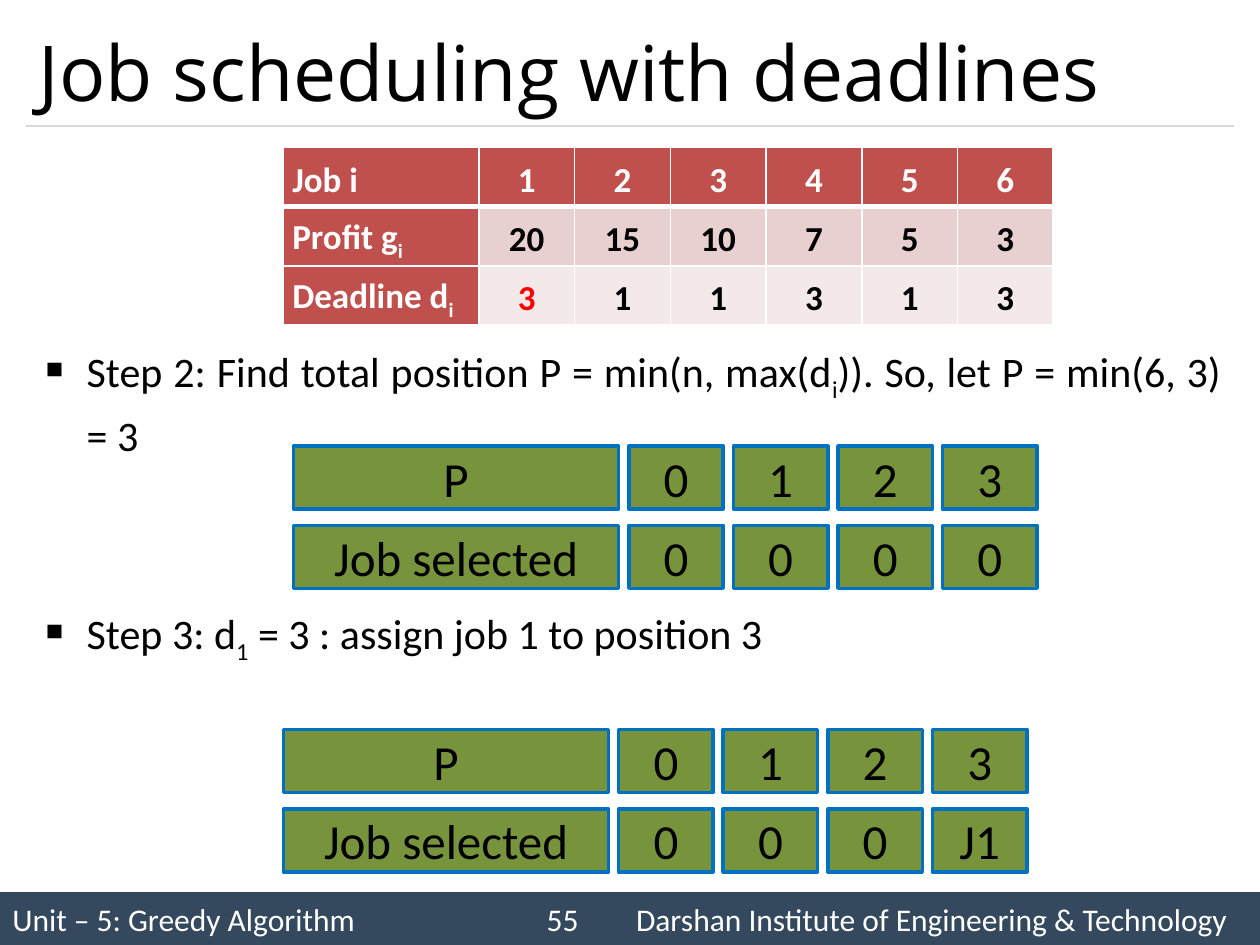
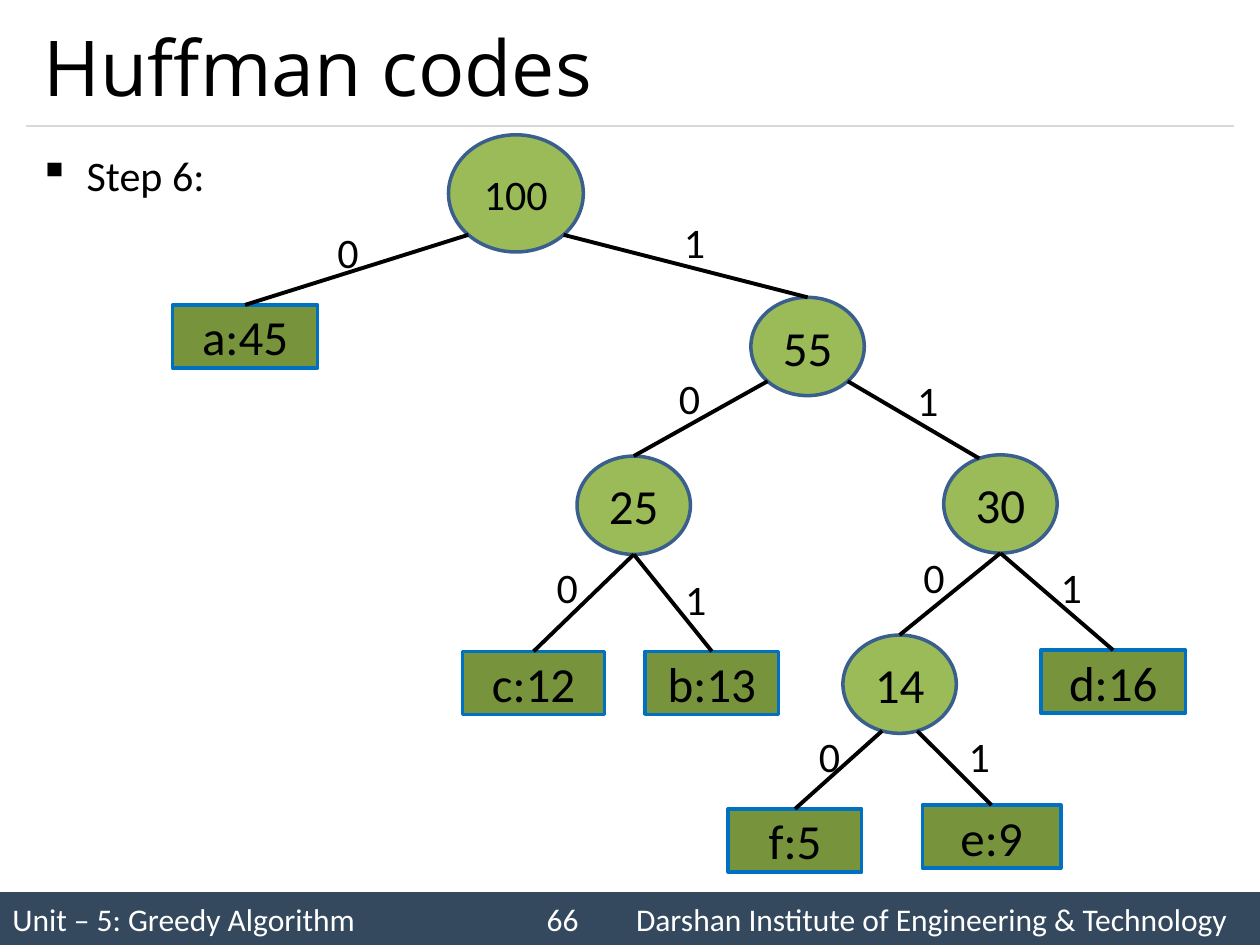
from math import cos, radians, sin

from lxml import etree
from pptx import Presentation
from pptx.dml.color import RGBColor
from pptx.enum.shapes import MSO_CONNECTOR, MSO_SHAPE
from pptx.enum.text import MSO_ANCHOR, PP_ALIGN
from pptx.oxml.ns import qn
from pptx.util import Inches, Pt

# Shared style
BLACK = RGBColor(0x00, 0x00, 0x00)
WHITE = RGBColor(0xFF, 0xFF, 0xFF)
RED = RGBColor(0xFF, 0x00, 0x00)
FOOTER_BLUE = RGBColor(0x34, 0x49, 0x5E)
RULE_GREY = RGBColor(0xD9, 0xD9, 0xD9)
BOX_GREEN = RGBColor(0x77, 0x93, 0x3C)
BOX_LINE = RGBColor(0x00, 0x70, 0xC0)
NODE_GREEN = RGBColor(0x9B, 0xBB, 0x59)
NODE_LINE = RGBColor(0x3A, 0x5F, 0x8C)
HEADER_RED = RGBColor(0xC0, 0x50, 0x4D)
ROW_FILLS = [HEADER_RED, RGBColor(0xE8, 0xD0, 0xD0), RGBColor(0xF4, 0xE9, 0xE9)]

BODY_FONT = "Calibri"
TITLE_FONT = "Open Sans"
RECT, OVAL = MSO_SHAPE.RECTANGLE, MSO_SHAPE.OVAL
STRAIGHT = MSO_CONNECTOR.STRAIGHT
LEFT, CENTER, JUSTIFY = PP_ALIGN.LEFT, PP_ALIGN.CENTER, PP_ALIGN.JUSTIFY
MIDDLE = MSO_ANCHOR.MIDDLE

UNIT = "Unit – 5: Greedy Algorithm"
INSTITUTE = "Darshan Institute of Engineering & Technology"
FOOTER_TABS = (4.24, 4.95)

# Job scheduling content
JOB_ROWS = [
    ["Job i", "1", "2", "3", "4", "5", "6"],
    ["Profit g|i|", "20", "15", "10", "7", "5", "3"],
    ["Deadline d|i|", "3", "1", "1", "3", "1", "3"],
]
POSITIONS = ["P", "0", "1", "2", "3"]

# Huffman tree: name -> left, top, width, height
INNER_NODES = {
    "100": (3.56, 1.07, 1.07, 0.93),
    "55": (5.96, 2.36, 0.9, 0.78),
    "25": (4.58, 3.62, 0.9, 0.78),
    "30": (7.49, 3.61, 0.9, 0.78),
    "14": (6.69, 5.04, 0.9, 0.78),
}
LEAVES = {
    "a:45": (1.37, 2.42, 1.15, 0.5),
    "c:12": (3.67, 5.17, 1.13, 0.5),
    "b:13": (5.12, 5.17, 1.06, 0.5),
    "d:16": (8.26, 5.16, 1.15, 0.5),
    "f:5": (5.78, 6.42, 1.06, 0.5),
    "e:9": (7.32, 6.39, 1.1, 0.5),
}
# Degrees from straight down at which branches leave a node
BRANCH_ANGLE = {"100": 45, "55": 45, "25": 0, "30": 0, "14": 18}
# Degrees from straight up at which a branch enters, where not 0
ENTRY_ANGLE = {"30": -22}
# Parent -> (child, left and top of its bit label) for bits 0 and 1
BRANCHES = {
    "100": [("a:45", 2.58, 1.75), ("55", 5.33, 1.67)],
    "55": [("25", 5.29, 2.91), ("30", 7.18, 2.92)],
    "25": [("c:12", 4.32, 4.41), ("b:13", 5.34, 4.5)],
    "30": [("14", 7.23, 4.33), ("d:16", 8.32, 4.41)],
    "14": [("f:5", 6.4, 5.75), ("e:9", 7.59, 5.75)],
}


def inches(values):
    return [Inches(v) for v in values]


def write(p, text, size, color=BLACK, align=LEFT, font=BODY_FONT, bold=False):
    """Fill a paragraph; text between bars is subscript."""
    for i, part in enumerate(text.split("|")):
        if part:
            r = p.add_run()
            r.text = part
            if i % 2:
                r._r.get_or_add_rPr().set("baseline", "-25000")
    p.alignment = align
    p.font.name, p.font.size, p.font.bold = font, Pt(size), bold
    p.font.color.rgb = color


def add_text(s, box, text, size, **style):
    sp = s.shapes.add_textbox(*inches(box))
    tf = sp.text_frame
    tf.word_wrap = True
    write(tf.paragraphs[0], text, size, **style)
    return tf


def add_title(s, text, left, top):
    tf = add_text(s, (left, top, 9.58, 0.88), text, 44, font=TITLE_FONT)
    tf.vertical_anchor = MIDDLE


def add_bullet(s, text, top, height):
    tf = add_text(s, (0.21, top, 9.58, height), "", 24)
    p = tf.paragraphs[0]
    pPr = p._p.get_or_add_pPr()
    pPr.set("marL", str(Inches(0.38)))
    pPr.set("indent", str(-Inches(0.38)))
    bullet = etree.Element(qn("a:buChar"), char="▪")
    pPr.insert(0, bullet)
    p.line_spacing = 1.14
    write(p, text, 24, align=JUSTIFY)


def add_shape(s, kind, box, fill, line=None):
    sp = s.shapes.add_shape(kind, *inches(box))
    sp.shadow.inherit = False
    sp.fill.solid()
    sp.fill.fore_color.rgb = fill
    if line is None:
        sp.line.fill.background()
    else:
        sp.line.color.rgb = line
        sp.line.width = Pt(2)
    sp.text_frame.vertical_anchor = MIDDLE
    return sp


def add_box(s, text, box):
    sp = add_shape(s, RECT, box, BOX_GREEN, BOX_LINE)
    write(sp.text_frame.paragraphs[0], text, 28, align=CENTER)


def add_node(s, text, box):
    sp = add_shape(s, OVAL, box, NODE_GREEN, NODE_LINE)
    size = 24 if len(text) > 2 else 28
    write(sp.text_frame.paragraphs[0], text, size, align=CENTER)


def add_line(s, start, end, color, width):
    line = s.shapes.add_connector(STRAIGHT, *inches((*start, *end)))
    line.line.color.rgb = color
    line.line.width = Pt(width)
    etree.SubElement(line._element.spPr, qn("a:effectLst"))


def add_slide(prs, number):
    """Blank slide with the title rule and the footer band."""
    s = prs.slides.add_slide(prs.slide_layouts[6])
    add_line(s, (0.21, 1), (9.79, 1), RULE_GREY, 0.75)
    sp = add_shape(s, RECT, (0, 7.08, 10, 0.42), FOOTER_BLUE)
    p = sp.text_frame.paragraphs[0]
    tabs = etree.SubElement(p._p.get_or_add_pPr(), qn("a:tabLst"))
    for pos in FOOTER_TABS:
        etree.SubElement(tabs, qn("a:tab"), pos=str(Inches(pos)), algn="l")
    write(p, f"{UNIT}\t{number}\t{INSTITUTE}", 18, color=WHITE)
    return s


def set_borders(cell, bottom):
    tcPr = cell._tc.get_or_add_tcPr()
    widths = {"a:lnL": 1, "a:lnR": 1, "a:lnT": 1, "a:lnB": bottom}
    for i, (tag, width) in enumerate(widths.items()):
        ln = etree.Element(qn(tag), w=str(Pt(width)))
        fill = etree.SubElement(ln, qn("a:solidFill"))
        etree.SubElement(fill, qn("a:srgbClr"), val=str(WHITE))
        tcPr.insert(i, ln)


def add_job_table(s):
    box = inches((2.25, 1.17, 6.11, 1.41))
    table = s.shapes.add_table(len(JOB_ROWS), len(JOB_ROWS[0]), *box).table
    for c, col in enumerate(table.columns):
        col.width = Inches(0.76 if c else 1.55)
    for r, values in enumerate(JOB_ROWS):
        table.rows[r].height = Inches(0.47)
        for c, value in enumerate(values):
            cell = table.cell(r, c)
            cell.vertical_anchor = MIDDLE
            cell.margin_left = cell.margin_right = Inches(0.07)
            cell.margin_top = cell.margin_bottom = 0
            cell.fill.solid()
            cell.fill.fore_color.rgb = ROW_FILLS[r] if c else HEADER_RED
            set_borders(cell, 1 if r else 3)
            color = BLACK if r and c else WHITE
            if (r, c) == (2, 1):  # deadline of the job being placed
                color = RED
            p = cell.text_frame.paragraphs[0]
            write(p, value, 20, color, CENTER if c else JUSTIFY, bold=True)
            p.line_spacing = 1.15


def add_positions(s, left, top, jobs):
    """Two rows of boxes: positions, and the jobs placed in them."""
    for row, values in enumerate([POSITIONS, ["Job selected", *jobs]]):
        x, y = left, top + row * 0.63
        for i, value in enumerate(values):
            width = 0.75 if i else 2.58
            add_box(s, value, (x, y, width, 0.5))
            x += width + 0.08


def rim_point(box, angle, side):
    """Point on an ellipse, from its bottom (side 1) or top (side -1)."""
    x, y, w, h = box
    a = radians(angle)
    return x + w / 2 * (1 + sin(a)), y + h / 2 * (1 + side * cos(a))


def add_tree(s):
    for name, box in LEAVES.items():
        add_box(s, name, box)
    for name, box in INNER_NODES.items():
        add_node(s, name, box)
    boxes = {**LEAVES, **INNER_NODES}
    for parent, children in BRANCHES.items():
        for bit, (child, x, y) in enumerate(children):
            angle = BRANCH_ANGLE[parent] * (1 if bit else -1)
            start = rim_point(boxes[parent], angle, 1)
            end = rim_point(boxes[child], ENTRY_ANGLE.get(child, 0), -1)
            add_line(s, start, end, BLACK, 2.25)
            add_text(s, (x, y, 0.53, 0.5), str(bit), 24)


def main():
    prs = Presentation()
    prs.slide_width, prs.slide_height = Inches(10), Inches(7.5)

    # Job scheduling
    s = add_slide(prs, 55)
    add_title(s, "Job scheduling with deadlines", 0.21, 0.12)
    add_bullet(s, "Step 2: Find total position P = min(n, max(d|i|)). "
                  "So, let P = min(6, 3) = 3", 2.63, 1.1)
    add_bullet(s, "Step 3: d|1| = 3 : assign job 1 to position 3", 4.71, 0.6)
    add_positions(s, 2.33, 3.54, ["0", "0", "0", "0"])
    add_positions(s, 2.25, 5.79, ["0", "0", "0", "J1"])
    add_job_table(s)

    # Huffman codes
    s = add_slide(prs, 66)
    add_title(s, "Huffman codes", 0.25, 0.08)
    add_bullet(s, "Step 6:", 1.08, 0.6)
    add_tree(s)

    prs.save("out.pptx")


if __name__ == "__main__":
    main()
